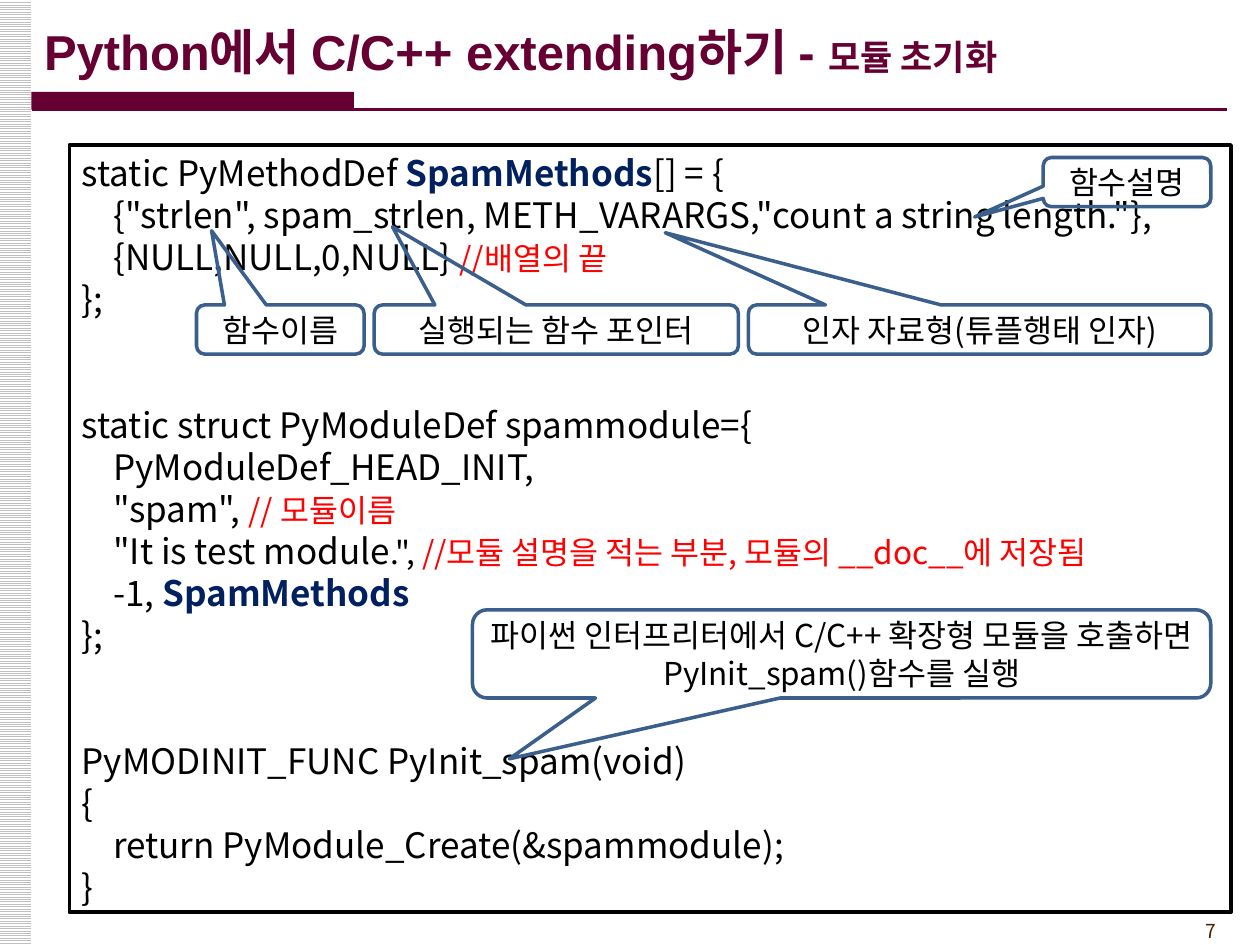
from lxml.etree import SubElement
from pptx import Presentation
from pptx.dml.color import RGBColor
from pptx.enum.dml import MSO_PATTERN
from pptx.enum.shapes import MSO_CONNECTOR, MSO_SHAPE
from pptx.enum.text import MSO_ANCHOR, MSO_AUTO_SIZE, PP_ALIGN
from pptx.oxml.ns import qn
from pptx.util import Inches, Pt

THEME = {
    "latin": "Arial",
    "korean": "Noto Sans CJK KR",
    "wine": RGBColor(0x66, 0x00, 0x33),
    "black": RGBColor(0x00, 0x00, 0x00),
    "white": RGBColor(0xFF, 0xFF, 0xFF),
    "navy": RGBColor(0x00, 0x20, 0x60),
    "red": RGBColor(0xFF, 0x00, 0x00),
    "blue": RGBColor(0x3A, 0x5F, 0x8C),
    "brown": RGBColor(0x45, 0x21, 0x03),
    "stripe": RGBColor(0xC0, 0xC0, 0xC0),
    "title": Pt(28),
    "subtitle": Pt(20),
    "code": Pt(20),
    "note": Pt(18),
    "number": Pt(11),
    "code_pitch": Pt(24),
    "note_pitch": Pt(21.6),
}


def add_span(para, text, size, color, bold=False, font="korean"):
    span = para.add_run()
    span.text = text
    span.font.color.rgb = THEME[color]
    formats = {"name": THEME[font], "size": THEME[size], "bold": bold}
    for name, value in formats.items():
        setattr(span.font, name, value)
    SubElement(span.font._element, qn("a:ea")).set("typeface", THEME["korean"])


def add_box(kind, left, top, width, height, outline=None):
    box = page.shapes.add_shape(
        kind, Inches(left), Inches(top), Inches(width), Inches(height))
    box.shadow.inherit = False
    box.fill.background()
    if outline:
        box.line.color.rgb = THEME[outline]
        box.line.width = Pt(2)
    else:
        box.line.fill.background()
    box.text_frame.word_wrap = True
    return box


deck = Presentation()
deck.slide_width, deck.slide_height = Inches(10), Inches(7.5)
page = deck.slides.add_slide(deck.slide_layouts[5])

# Striped margin, rule under the title, page number
margin = add_box(MSO_SHAPE.RECTANGLE, -0.01, 0, 0.26, 7.5)
margin.fill.patterned()
margin.fill.pattern = MSO_PATTERN.LIGHT_HORIZONTAL
margin.fill.fore_color.rgb = THEME["stripe"]
margin.fill.back_color.rgb = THEME["white"]

bar = add_box(MSO_SHAPE.RECTANGLE, 0.25, 0.73, 2.56, 0.14)
bar.fill.solid()
bar.fill.fore_color.rgb = THEME["wine"]

rule = page.shapes.add_connector(
    MSO_CONNECTOR.STRAIGHT, Inches(0.25), Inches(0.87), Inches(9.74), Inches(0.87))
rule.line.color.rgb = THEME["wine"]
rule.line.width = Pt(1.5)
SubElement(rule._element.spPr, qn("a:effectLst"))

number = page.shapes.add_textbox(Inches(8.92), Inches(7.25), Inches(0.83), Inches(0.29))
number.text_frame.word_wrap = True
para = number.text_frame.paragraphs[0]
para.alignment = PP_ALIGN.RIGHT
add_span(para, "7", "number", "brown")

# Title
title = page.shapes.title
place = {"left": 0.25, "top": 0.09, "width": 9.75, "height": 0.63}
for name, value in place.items():
    setattr(title, name, Inches(value))
title.text_frame.auto_size = MSO_AUTO_SIZE.NONE
title.text_frame.vertical_anchor = MSO_ANCHOR.MIDDLE
para = title.text_frame.paragraphs[0]
para.alignment = PP_ALIGN.LEFT
add_span(para, "Python에서 C/C++ extending하기 - ", "title", "wine", True, "latin")
add_span(para, "모듈 초기화", "subtitle", "wine", True, "latin")

# Code listing: blocks of lines, each line an indent level and its spans
PLAIN = ("code", "black")
STRONG = ("code", "navy", True)
COMMENT = ("note", "red")
blocks = [
    [
        (0, [("static PyMethodDef ", *PLAIN), ("SpamMethods", *STRONG), ("[] = {", *PLAIN)]),
        (1, [('{"strlen", spam_strlen, METH_VARARGS,"count a string length."},', *PLAIN)]),
        (1, [("{NULL,NULL,0,NULL} ", *PLAIN), ("//배열의 끝", *COMMENT)]),
        (0, [("};", *PLAIN)]),
    ],
    [
        (0, [("static struct PyModuleDef spammodule={", *PLAIN)]),
        (1, [("PyModuleDef_HEAD_INIT,", *PLAIN)]),
        (1, [('"spam", ', *PLAIN), ("// 모듈이름", *COMMENT)]),
        (1, [('"It is test module', *PLAIN), ('.", ', "note", "black"),
             ("//모듈 설명을 적는 부분, 모듈의 __doc__에 저장됨", *COMMENT)]),
        (1, [("-1, ", *PLAIN), ("SpamMethods", *STRONG)]),
        (0, [("};", *PLAIN)]),
    ],
    [
        (0, [("PyMODINIT_FUNC PyInit_spam(void)", *PLAIN)]),
        (0, [("{", *PLAIN)]),
        (1, [("return PyModule_Create(&spammodule);", *PLAIN)]),
        (0, [("}", *PLAIN)]),
    ],
]
code = add_box(MSO_SHAPE.RECTANGLE, 0.55, 1.15, 9.22, 6.09, "black")
code.text_frame.vertical_anchor = MSO_ANCHOR.TOP
para = code.text_frame.paragraphs[0]
for block_index, block in enumerate(blocks):
    for line_index, (level, spans) in enumerate(block):
        if block_index or line_index:
            para = code.text_frame.add_paragraph()
        para.alignment = PP_ALIGN.LEFT
        para.line_spacing = THEME["code_pitch"]
        if block_index and not line_index:
            para.space_before = 2 * THEME["code_pitch"]
        para._p.get_or_add_pPr().set("marL", str(Inches(0.25 * level)))
        for span in spans:
            add_span(para, *span)

# Callouts: left, top, width, height, pointer offset, text
callouts = [
    (1.56, 2.42, 1.33, 0.39, (-0.41, -2.01), "함수이름"),
    (2.97, 2.42, 2.89, 0.39, (-0.45, -2.09), "실행되는 함수 포인터"),
    (5.94, 2.42, 3.67, 0.39, (-0.68, -1.97), "인자 자료형(튜플행태 인자)"),
    (8.28, 1.25, 1.33, 0.39, (-0.91, 0.71), "함수설명"),
    (3.75, 4.84, 5.86, 0.7, (-0.45, 1.19),
     "파이썬 인터프리터에서 C/C++ 확장형 모듈을 호출하면 PyInit_spam()함수를 실행"),
]
for left, top, width, height, pointer, text in callouts:
    callout = add_box(
        MSO_SHAPE.ROUNDED_RECTANGULAR_CALLOUT, left, top, width, height, "blue")
    callout.adjustments[0], callout.adjustments[1] = pointer
    callout.text_frame.vertical_anchor = MSO_ANCHOR.MIDDLE
    para = callout.text_frame.paragraphs[0]
    para.alignment = PP_ALIGN.CENTER
    para.line_spacing = THEME["note_pitch"]
    add_span(para, text, "note", "black")

deck.save("out.pptx")
